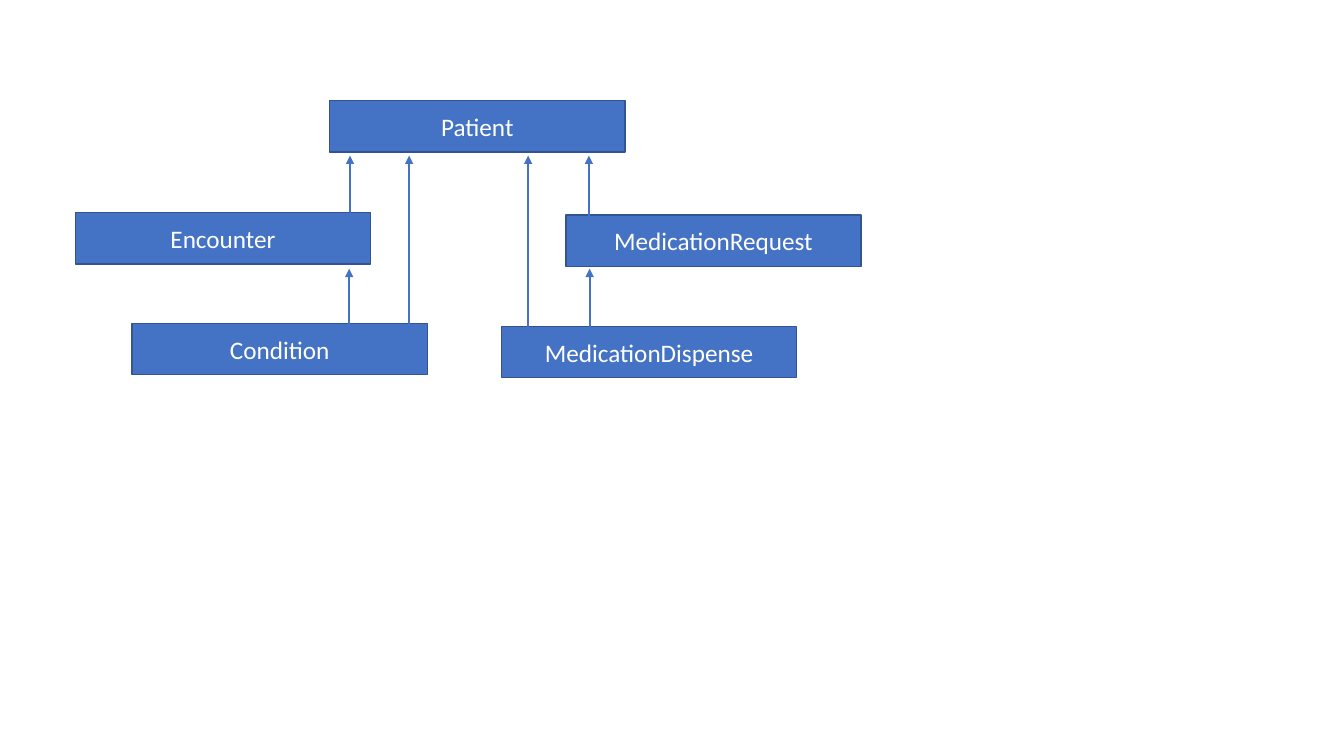
"""Build a slide showing how clinical resources refer to the patient."""
import pptx
import pptx.dml.color
import pptx.enum.shapes
import pptx.enum.text
import pptx.oxml.ns
import pptx.util
from lxml import etree

Cm = pptx.util.Cm
Pt = pptx.util.Pt


def paint(color_format, color):
    color_format.rgb = pptx.dml.color.RGBColor.from_string(color)


BLUE = "4472C4"
DARK_BLUE = "325491"
WHITE = "FFFFFF"
BOX_WIDTH, BOX_HEIGHT = 7.44, 1.29
PATIENT_TIP, MIDDLE_TIP = 3.92, 6.77

deck = pptx.Presentation()
deck.slide_width, deck.slide_height = Cm(33.87), Cm(19.05)
page = deck.slides.add_slide(deck.slide_layouts[6])

resources = [
    ("Patient", 8.31, 2.54),
    ("Encounter", 1.9, 5.36),
    ("Condition", 3.33, 8.15),
    ("MedicationRequest", 14.26, 5.42),
    ("MedicationDispense", 12.64, 8.23),
]
for resource, left, top in resources:
    box = page.shapes.add_shape(
        pptx.enum.shapes.MSO_SHAPE.RECTANGLE,
        Cm(left), Cm(top), Cm(BOX_WIDTH), Cm(BOX_HEIGHT))
    box.shadow.inherit = False
    box.fill.solid()
    paint(box.fill.fore_color, BLUE)
    paint(box.line.color, DARK_BLUE)
    box.line.width = Pt(1)
    box.text_frame.word_wrap = True
    box.text_frame.vertical_anchor = pptx.enum.text.MSO_ANCHOR.MIDDLE
    para = box.text_frame.paragraphs[0]
    para.alignment = pptx.enum.text.PP_ALIGN.CENTER
    span = para.add_run()
    span.text = resource
    span.font.name = "Calibri"
    span.font.size = Pt(18)
    paint(span.font.color, WHITE)

references = [
    (8.82, 5.44, PATIENT_TIP),
    (10.31, 8.18, PATIENT_TIP),
    (13.31, 8.23, PATIENT_TIP),
    (14.84, 5.44, PATIENT_TIP),
    (8.8, 8.28, MIDDLE_TIP),
    (14.86, 8.28, MIDDLE_TIP),
]
for x, start, tip in references:
    arrow = page.shapes.add_connector(
        pptx.enum.shapes.MSO_CONNECTOR.STRAIGHT,
        Cm(x), Cm(start), Cm(x), Cm(tip))
    paint(arrow.line.color, BLUE)
    arrow.line.width = Pt(1.5)
    outline = arrow.get_or_add_ln()
    etree.SubElement(outline, pptx.oxml.ns.qn("a:tailEnd"), type="triangle")
    etree.SubElement(arrow.element.spPr, pptx.oxml.ns.qn("a:effectLst"))

deck.save("out.pptx")
